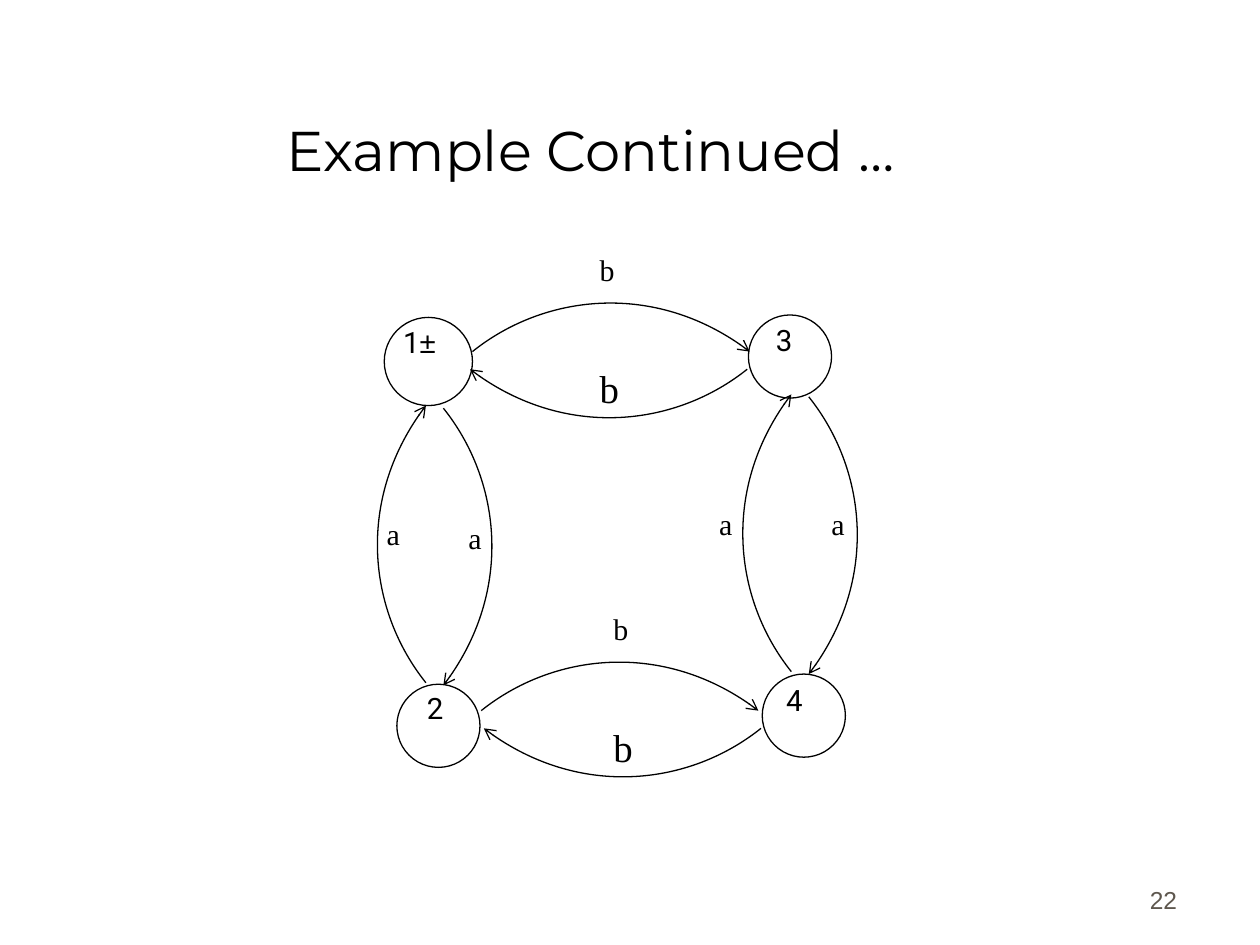
from dataclasses import dataclass

import pptx
import pptx.dml.color
import pptx.enum.shapes
import pptx.enum.text
import pptx.oxml
import pptx.oxml.ns
import pptx.util

Pt = pptx.util.Pt
ALIGN = pptx.enum.text.PP_ALIGN
ANCHOR = pptx.enum.text.MSO_ANCHOR
SERIF = "Times New Roman"
BLACK = "000000"
WHITE = "FFFFFF"

RIGHT, LEFT, UP, DOWN = (1, 0), (-1, 0), (0, -1), (0, 1)
# Distances along the direction of travel and to its left
ARC_POINTS = ((40.5, 32.4), (105.8, 40.3), (158.4, 0))


@dataclass(frozen=True)
class State:
    """A circle, and the place of the runs (text, font) that name it."""
    left: float
    top: float
    diameter: float
    name_left: float
    name_top: float
    name: tuple[tuple[str, str], ...]


@dataclass(frozen=True)
class Transition:
    """An arc from (x, y), and the place of its letter."""
    x: float
    y: float
    direction: tuple[int, int]
    letter: str
    letter_left: float
    letter_top: float
    large: bool = False


STATES = (
    State(219.6, 181.4, 50.4, 223.2, 185.8, (("1", "Roboto"), ("±", "Arial"))),
    State(226.8, 391, 47.5, 236.9, 394.6, (("2", "Roboto"),)),
    State(427.7, 180, 47.5, 436.3, 184.3, (("3", "Roboto"),)),
    State(435.6, 385.2, 47.5, 442.1, 390.2, (("4", "Roboto"),)),
)
TRANSITIONS = (
    Transition(270, 200.9, RIGHT, "b", 335.5, 144),
    Transition(427, 211, LEFT, "b", 335.5, 208.1, large=True),
    Transition(275, 406.1, RIGHT, "b", 343.4, 349.2),
    Transition(434.9, 416.2, LEFT, "b", 343.4, 413.3, large=True),
    Transition(243.4, 390.2, UP, "a", 213.8, 295.2),
    Transition(253.4, 233.3, DOWN, "a", 260.6, 297.4),
    Transition(452.2, 383.8, UP, "a", 403.9, 289.4),
    Transition(462.2, 226.8, DOWN, "a", 468, 289.4),
)


def rgb(color: str) -> pptx.dml.color.RGBColor:
    return pptx.dml.color.RGBColor.from_string(color)


def write(paragraph, text: str, *, font: str, size: float, color: str = BLACK) -> None:
    run = paragraph.add_run()
    run.text = text
    run.font.name = font
    run.font.size = Pt(size)
    run.font.color.rgb = rgb(color)


def add_paragraph_box(slide, left: float, top: float, width: float, height: float,
                      *, spacing: float = 0.8, anchor=ANCHOR.TOP):
    """Add a text box and return its empty paragraph."""
    frame = slide.shapes.add_textbox(Pt(left), Pt(top), Pt(width), Pt(height)).text_frame
    frame.word_wrap = True
    frame.vertical_anchor = anchor
    paragraph = frame.paragraphs[0]
    paragraph.line_spacing = spacing
    return paragraph


def outline(shape) -> None:
    shape.shadow.inherit = False
    shape.line.color.rgb = rgb(BLACK)
    shape.line.width = Pt(0.75)


def draw_circle(slide, state: State) -> None:
    circle = slide.shapes.add_shape(
        pptx.enum.shapes.MSO_SHAPE.OVAL, Pt(state.left), Pt(state.top),
        Pt(state.diameter), Pt(state.diameter))
    circle.fill.solid()
    circle.fill.fore_color.rgb = rgb(WHITE)
    outline(circle)


def draw_name(slide, state: State) -> None:
    paragraph = add_paragraph_box(slide, state.name_left, state.name_top, 49.7, 28.8)
    for text, font in state.name:
        write(paragraph, text, font=font, size=16.8)


def draw_arc(slide, transition: Transition) -> None:
    dx, dy = transition.direction
    points = [(Pt(transition.x + along * dx + aside * dy),
               Pt(transition.y + along * dy - aside * dx))
              for along, aside in ARC_POINTS]
    builder = slide.shapes.build_freeform(Pt(transition.x), Pt(transition.y))
    builder.add_line_segments(points, close=False)
    arc = builder.convert_to_shape()
    arc.fill.background()
    outline(arc)

    # Join the three segments into one Bézier curve
    qn = pptx.oxml.ns.qn
    segments = list(arc.element.iter(qn("a:lnTo")))
    curve = pptx.oxml.parse_xml(f"<a:cubicBezTo {pptx.oxml.ns.nsdecls('a')}/>")
    segments[0].addprevious(curve)
    for segment in segments:
        curve.append(segment[0])
        segment.getparent().remove(segment)

    arc.line._get_or_add_ln().append(pptx.oxml.parse_xml(
        f"<a:tailEnd {pptx.oxml.ns.nsdecls('a')} type='arrow'/>"))


def draw_letter(slide, transition: Transition) -> None:
    width, height, spacing, size = (
        (35.3, 36, 0.9, 22.2) if transition.large else (29.5, 28.8, 0.8, 17.1))
    paragraph = add_paragraph_box(slide, transition.letter_left, transition.letter_top,
                                  width, height, spacing=spacing)
    write(paragraph, transition.letter, font=SERIF, size=size)


def set_title(slide, text: str) -> None:
    title = slide.shapes.title
    title.left, title.top, title.width, title.height = Pt(31.7), Pt(18), Pt(612), Pt(90)
    title.text_frame.vertical_anchor = ANCHOR.BOTTOM
    heading = title.text_frame.paragraphs[0]
    heading.alignment = ALIGN.CENTER
    write(heading, text, font="Montserrat", size=32)


def main() -> None:
    deck = pptx.Presentation()
    deck.slide_width, deck.slide_height = Pt(720), Pt(540)
    slide = deck.slides.add_slide(deck.slide_layouts.get_by_name("Title Only"))

    set_title(slide, "Example Continued …")
    for state in STATES:
        draw_circle(slide, state)
    for transition in TRANSITIONS:
        draw_arc(slide, transition)
        draw_letter(slide, transition)
    for state in STATES:
        draw_name(slide, state)

    page_number = add_paragraph_box(slide, 529.9, 490.3, 149.8, 36,
                                    spacing=1.0, anchor=ANCHOR.BOTTOM)
    page_number.alignment = ALIGN.RIGHT
    write(page_number, "22", font="Arial", size=14, color="5E574E")

    deck.save("out.pptx")


if __name__ == "__main__":
    main()
